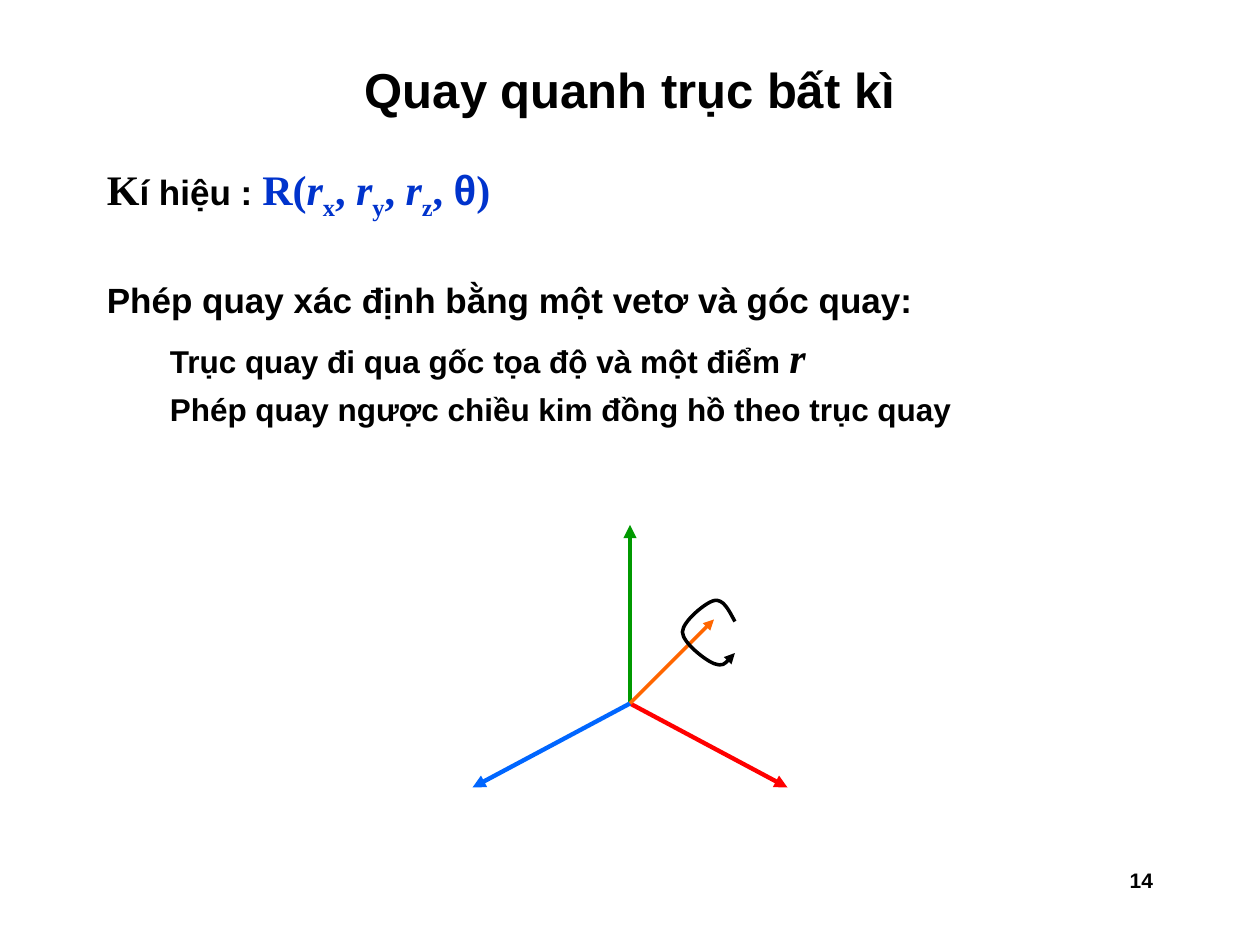
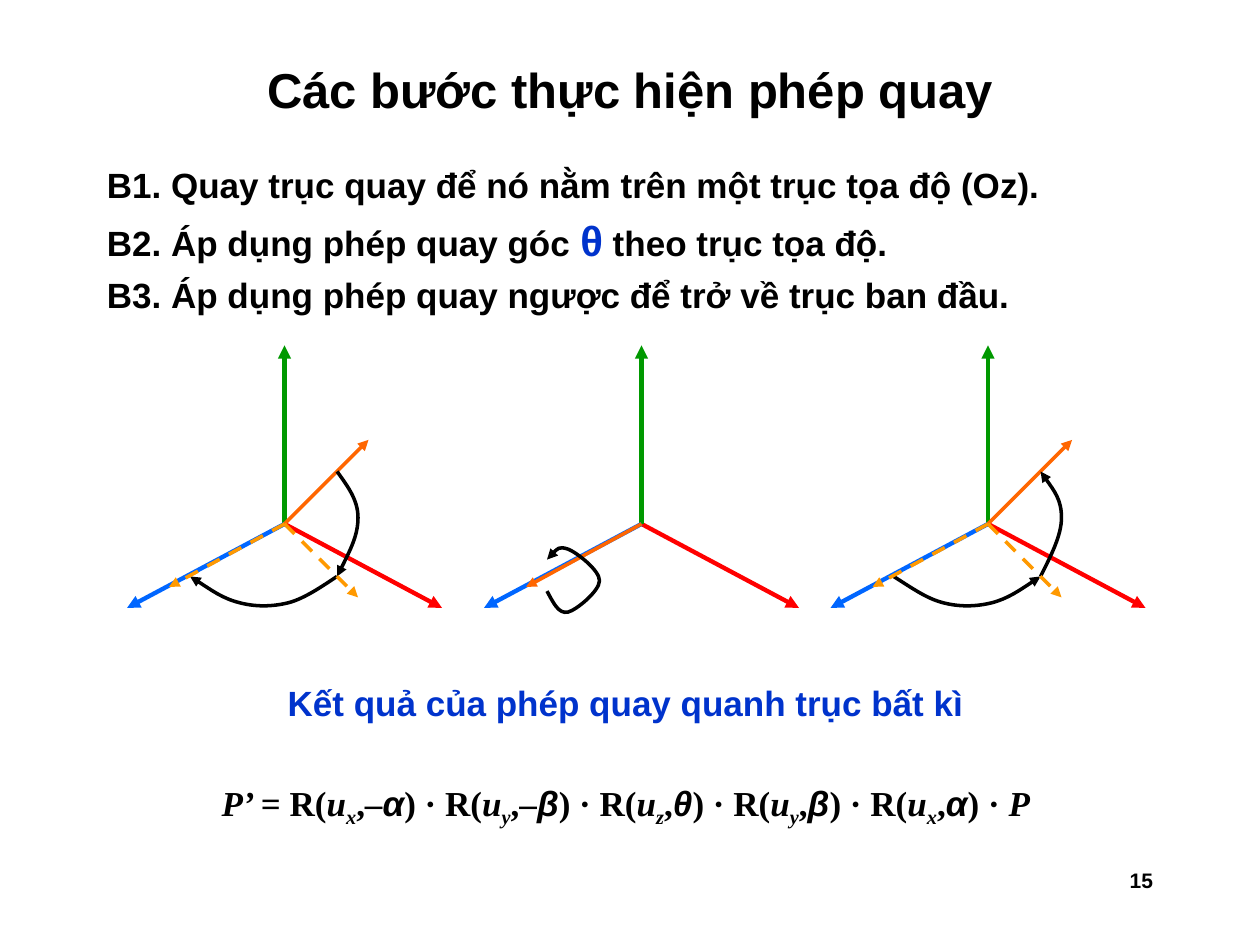
"""Build two slides on rotation about an arbitrary axis."""
import lxml.etree
import pptx
import pptx.dml.color
import pptx.enum.dml
import pptx.enum.shapes
import pptx.enum.text
import pptx.oxml.ns
import pptx.util

CELL = pptx.util.Inches(1) / 12
COLUMNS, ROWS = 120, 90
SANS, SERIF = "Arial", "Times New Roman"
BLACK, ACCENT = "000000", "0033CC"
AXIS_X, AXIS_Y, AXIS_Z = "FF0000", "009900", "0066FF"
VECTOR, PROJECTION = "FF6600", "FF9900"
ALIGN = pptx.enum.text.PP_ALIGN
VECTOR_TIP, FLOOR_TIP, FOLDED_TIP = (8, -8), (7, 7), (-11, 6)
LOOP = [(2, -1), (1.4, -2.1), (0.9, -3.2), (0, -3), (-0.8, -2.8), (-3, -1), (-3, 0),
        (-3, 1), (-0.8, 2.7), (0, 3), (0.9, 3.3), (1.4, 2.7), (2, 2)]
SIDE_ARC = [(5, -5), (6, -3.6), (7, -2.3), (7, -0.6), (7, 1.1), (6, 3), (5, 5)]
FLOOR_ARC = [(5, 5), (3.5, 6), (1.9, 7.1), (0.4, 7.5), (-1.2, 7.9), (-2.8, 7.9),
             (-4.3, 7.5), (-5.9, 7.1), (-7.4, 6), (-9, 5)]


def grid(*cells):
    """Turn grid cells into slide lengths."""
    return [pptx.util.Emu(round(cell * CELL)) for cell in cells]


def rgb(color):
    """Turn a hex string into a colour."""
    return pptx.dml.color.RGBColor.from_string(color)


def add_tag(parent, name, **attributes):
    """Append a DrawingML element to a parent."""
    return lxml.etree.SubElement(parent, pptx.oxml.ns.qn(f"a:{name}"), attributes)


def add_box(page, left, top, width, height):
    """Add an empty wrapping text box and return its frame."""
    frame = page.shapes.add_textbox(*grid(left, top, width, height)).text_frame
    frame.word_wrap = True
    return frame


def add_span(para, text, size=20, font=SANS, color=BLACK, italic=False, sub=False):
    """Add one bold run to a paragraph."""
    span = para.add_run()
    span.text = text
    span.font.size = pptx.util.Pt(size)
    span.font.name = font
    span.font.bold = True
    span.font.italic = italic
    span.font.color.rgb = rgb(color)
    if sub:
        span.font._element.set("baseline", "-25000")


def add_para(frame, before=0, align=ALIGN.LEFT, margin=0, hang=0):
    """Start a paragraph, reusing the frame's first one while it is empty."""
    first = frame.paragraphs[0]
    para = frame.add_paragraph() if first.runs else first
    para.alignment = align
    para.space_before = pptx.util.Pt(before)
    properties = para._p.get_or_add_pPr()
    properties.set("marL", str(pptx.util.Inches(margin)))
    properties.set("indent", str(-pptx.util.Inches(hang)))
    return para


def add_item(frame, before=0):
    """Start a main body paragraph."""
    return add_para(frame, before, margin=0.38, hang=0.38)


def add_subitem(frame, before):
    """Start an indented body paragraph."""
    return add_para(frame, before, margin=0.81, hang=0.31)


def start_page(deck, title, number):
    """Add a blank page with its title and number."""
    page = deck.slides.add_slide(deck.slide_layouts[6])
    frame = add_box(page, 9, 4, 102, 9)
    frame.vertical_anchor = pptx.enum.text.MSO_ANCHOR.MIDDLE
    add_span(add_para(frame, align=ALIGN.CENTER), title, size=28)
    footer = add_box(page, 86, 82, 25, 6)
    add_span(add_para(footer, align=ALIGN.RIGHT), str(number), size=12)
    return page


def style_stroke(shape, color, width, dashed=False):
    """Colour a line and put an arrowhead at its end."""
    shape.line.color.rgb = rgb(color)
    shape.line.width = pptx.util.Pt(width)
    if dashed:
        shape.line.dash_style = pptx.enum.dml.MSO_LINE.DASH
    properties = shape._element.spPr
    add_tag(properties.find(pptx.oxml.ns.qn("a:ln")), "tailEnd", type="triangle")
    add_tag(properties, "effectLst")


def add_arrow(page, origin, tip, color, width=2, dashed=False):
    """Draw a straight arrow from an origin to a relative tip."""
    (x, y), (dx, dy) = origin, tip
    straight = pptx.enum.shapes.MSO_CONNECTOR.STRAIGHT
    arrow = page.shapes.add_connector(straight, *grid(x, y, x + dx, y + dy))
    style_stroke(arrow, color, width, dashed)


def add_axes(page, origin):
    """Draw the three coordinate axes."""
    for tip, color in (((15, 8), AXIS_X), ((0, -17), AXIS_Y), ((-15, 8), AXIS_Z)):
        add_arrow(page, origin, tip, color, 2.5)


def add_curve(page, center, points, sign=1):
    """Draw a cubic Bezier arrow through points relative to a center."""
    start, *rest = [grid(center[0] + sign * x, center[1] + sign * y) for x, y in points]
    builder = page.shapes.build_freeform(*start)
    builder.add_line_segments(rest, close=False)
    curve = builder.convert_to_shape()
    curve.fill.background()
    nodes = curve._element.findall(".//" + pptx.oxml.ns.qn("a:lnTo"))
    for first in range(0, len(nodes), 3):
        outline = nodes[first].getparent()
        bezier = add_tag(outline, "cubicBezTo")
        for node in nodes[first:first + 3]:
            bezier.append(node[0])
            outline.remove(node)
    style_stroke(curve, BLACK, 2)


def add_swing(page, origin, back=False):
    """Show the vector swinging onto the z axis, or back from it."""
    add_axes(page, origin)
    add_arrow(page, origin, VECTOR_TIP, VECTOR)
    for arc in (FLOOR_ARC, SIDE_ARC):
        add_curve(page, origin, arc[::-1] if back else arc)
    for tip in (FLOOR_TIP, FOLDED_TIP):
        add_arrow(page, origin, tip, PROJECTION, dashed=True)


def add_formula(para):
    """Write the product of rotations."""
    add_span(para, "P’ ", font=SERIF, italic=True)
    lead = "= R("
    for axis, comma, angle in (("x", ",–", "α"), ("y", ",–", "β"), ("z", ",", "θ"),
                               ("y", ",", "β"), ("x", ",", "α")):
        add_span(para, lead, font=SERIF)
        add_span(para, "u", font=SERIF, italic=True)
        add_span(para, axis, font=SERIF, italic=True, sub=True)
        add_span(para, comma, font=SERIF)
        add_span(para, angle, italic=True)
        lead = ") · R("
    add_span(para, ") · ", font=SERIF)
    add_span(para, "P", font=SERIF, italic=True)


def build_definition(deck):
    """Build the page that defines the rotation."""
    page = start_page(deck, "Quay quanh trục bất kì", 14)
    body = add_box(page, 9, 15, 102, 65)
    para = add_item(body)
    add_span(para, "K", 24, SERIF)
    add_span(para, "í hiệu : ")
    add_span(para, "R(", 24, SERIF, ACCENT)
    for axis in "xyz":
        add_span(para, "r", 24, SERIF, ACCENT, italic=True)
        add_span(para, axis, 24, SERIF, ACCENT, sub=True)
        add_span(para, ", ", 24, SERIF, ACCENT)
    add_span(para, "θ", 24, SANS, ACCENT)
    add_span(para, ")", 24, SERIF, ACCENT)
    add_span(add_item(body, 33), "Phép quay xác định bằng một vetơ và góc quay:")
    para = add_subitem(body, 6)
    add_span(para, "Trục quay đi qua gốc tọa độ và một điểm ", 18)
    add_span(para, "r", 24, SERIF, italic=True)
    para = add_subitem(body, 4.5)
    add_span(para, "Phép quay ngược chiều kim đồng hồ theo trục quay", 18)

    origin = (60, 67)
    add_axes(page, origin)
    add_arrow(page, origin, VECTOR_TIP, VECTOR)
    add_curve(page, (68, 60.2), LOOP)


def build_steps(deck):
    """Build the page that shows the three steps."""
    page = start_page(deck, "Các bước thực hiện phép quay", 15)
    body = add_box(page, 9, 15, 102, 65)
    add_span(add_item(body), "B1. Quay trục quay để nó nằm trên một trục tọa độ (Oz).")
    para = add_item(body, 5)
    add_span(para, "B2. Áp dụng phép quay góc ")
    add_span(para, "θ", 24, color=ACCENT)
    add_span(para, " theo trục tọa độ.")
    add_span(add_item(body, 5), "B3. Áp dụng phép quay ngược để trở về trục ban đầu.")

    align_origin, turn_origin, return_origin = [(x, 49.9) for x in (27.1, 61.1, 94.1)]
    add_swing(page, align_origin)
    add_axes(page, turn_origin)
    add_arrow(page, turn_origin, FOLDED_TIP, VECTOR)
    add_curve(page, (54.1, 55.3), LOOP, sign=-1)
    add_swing(page, return_origin, back=True)

    result = add_box(page, 8.6, 64.3, 102, 17.3)
    add_span(add_para(result, align=ALIGN.CENTER),
             "Kết quả của phép quay quanh trục bất kì", color=ACCENT)
    add_formula(add_para(result, 33, ALIGN.CENTER))


def main():
    """Build and save the deck."""
    deck = pptx.Presentation()
    deck.slide_width, deck.slide_height = grid(COLUMNS, ROWS)
    build_definition(deck)
    build_steps(deck)
    deck.save("out.pptx")


if __name__ == "__main__":
    main()
